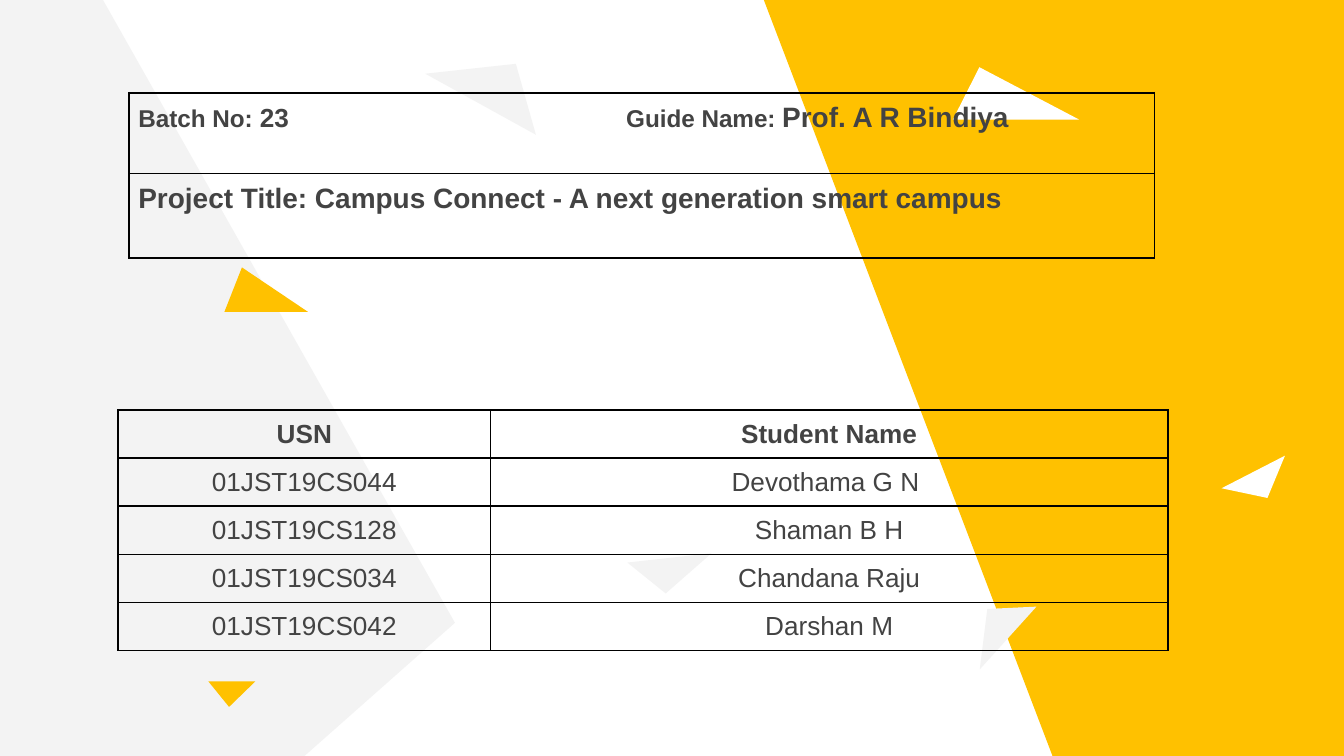
import pptx
import pptx.util
import pptx.dml.color
import pptx.enum.shapes
import pptx.enum.text
import pptx.oxml.ns
import lxml.etree
from dataclasses import dataclass

Inches = pptx.util.Inches
Pt = pptx.util.Pt


@dataclass(frozen=True)
class Theme:
    gold: str = "FFC100"
    pale: str = "F3F3F3"
    white: str = "FFFFFF"
    ink: str = "434343"
    rule: str = "000000"
    font: str = "Arial"
    label: int = 13
    body: int = 14
    title: int = 15
    line: int = 1
    inset: float = 0.07


THEME = Theme()

# Left, top, width, height, turn, apex position along the base, colour
SHARDS = [
    (-0.45, 1.21, 16.54, 4.8, 270, 0.76, THEME.gold),
    (-2.81, 1.44, 9, 3.39, 90, 2 / 3, THEME.pale),
    (1.67, 1.99, 0.62, 0.33, 0, 0.21, THEME.gold),
    (3.2, 0.41, 0.94, 0.39, 28.9, 0.59, THEME.pale),
    (7.09, 0.5, 0.94, 0.39, 0, 0.21, THEME.white),
    (7.09, 4.53, 0.63, 0.26, 312.1, 0.59, THEME.pale),
    (4.68, 4.15, 0.63, 0.26, 173.7, 0.59, THEME.pale),
    (9.11, 3.5, 0.53, 0.22, 152.8, 0.49, THEME.white),
    (1.55, 5.07, 0.35, 0.19, 180, 0.56, THEME.gold),
]

STUDENTS = [
    ("USN", "Student Name"),
    ("01JST19CS044", "Devothama G N "),
    ("01JST19CS128", "Shaman B H"),
    ("01JST19CS034", "Chandana Raju"),
    ("01JST19CS042", "Darshan M"),
]


def color(code):
    return pptx.dml.color.RGBColor.from_string(code)


def add_node(root, tag, **attrs):
    return lxml.etree.SubElement(root, pptx.oxml.ns.qn(tag), **attrs)


def add_shard(slide, left, top, width, height, turn, apex, tint):
    kind = pptx.enum.shapes.MSO_SHAPE.ISOSCELES_TRIANGLE
    shard = slide.shapes.add_shape(
        kind, Inches(left), Inches(top), Inches(width), Inches(height))
    shard.rotation = turn
    shard.adjustments[0] = apex
    shard.shadow.inherit = False
    shard.fill.solid()
    shard.fill.fore_color.rgb = color(tint)
    shard.line.fill.background()


def style_cell(cell):
    cell.margin_left = cell.margin_right = Inches(THEME.inset)
    cell.margin_top = cell.margin_bottom = Inches(THEME.inset)
    # Borders come before the fill in the cell properties
    props = cell._tc.get_or_add_tcPr()
    for side in "LRTB":
        edge = add_node(props, f"a:ln{side}", w=str(Pt(THEME.line)))
        fill = add_node(edge, "a:solidFill")
        add_node(fill, "a:srgbClr", val=THEME.rule)
    cell.fill.background()


def add_grid(slide, left, top, cols, rows):
    frame = slide.shapes.add_table(
        len(rows), len(cols), Inches(left), Inches(top),
        Inches(sum(cols)), Inches(sum(rows)))
    grid = frame.table
    grid.first_row = grid.horz_banding = False
    for col, width in zip(grid.columns, cols):
        col.width = Inches(width)
    for row, height in zip(grid.rows, rows):
        row.height = Inches(height)
    for cell in grid.iter_cells():
        style_cell(cell)
    return grid


def set_font(para, bold, size=None):
    para.font.name = THEME.font
    para.font.bold = bold
    para.font.color.rgb = color(THEME.ink)
    if size:
        para.font.size = Pt(size)


def add_tab(para, place):
    stops = add_node(para._p.get_or_add_pPr(), "a:tabLst")
    add_node(stops, "a:tab", pos=str(Inches(place)), algn="l")


def add_project(slide):
    grid = add_grid(slide, 0.96, 0.69, [7.63], [0.6, 0.63])
    # Batch and guide share one line, parted by a tab stop
    para = grid.cell(0, 0).text_frame.paragraphs[0]
    add_tab(para, 3.63)
    set_font(para, True)
    for text, size in [
        ("Batch No:", THEME.label),
        (" 23", THEME.body),
        ("\tGuide Name: ", THEME.label),
        ("Prof. A R Bindiya", THEME.title),
    ]:
        run = para.add_run()
        run.text = text
        run.font.size = Pt(size)
    # Project title
    para = grid.cell(1, 0).text_frame.paragraphs[0]
    para.text = "Project Title: Campus Connect - A next generation smart campus"
    set_font(para, True, THEME.title)


def add_students(slide):
    grid = add_grid(slide, 0.88, 3.05, [2.77, 5.04], [0.34] * len(STUDENTS))
    for r, names in enumerate(STUDENTS):
        for c, text in enumerate(names):
            para = grid.cell(r, c).text_frame.paragraphs[0]
            para.text = text
            para.alignment = pptx.enum.text.PP_ALIGN.CENTER
            set_font(para, r == 0, THEME.body)


def main():
    deck = pptx.Presentation()
    # Widescreen, 16 to 9
    deck.slide_width, deck.slide_height = Inches(10), Inches(10 * 9 / 16)
    slide = deck.slides.add_slide(deck.slide_layouts[6])
    # Backdrop
    for shard in SHARDS:
        add_shard(slide, *shard)
    # Tables
    add_project(slide)
    add_students(slide)
    deck.save("out.pptx")


if __name__ == "__main__":
    main()
